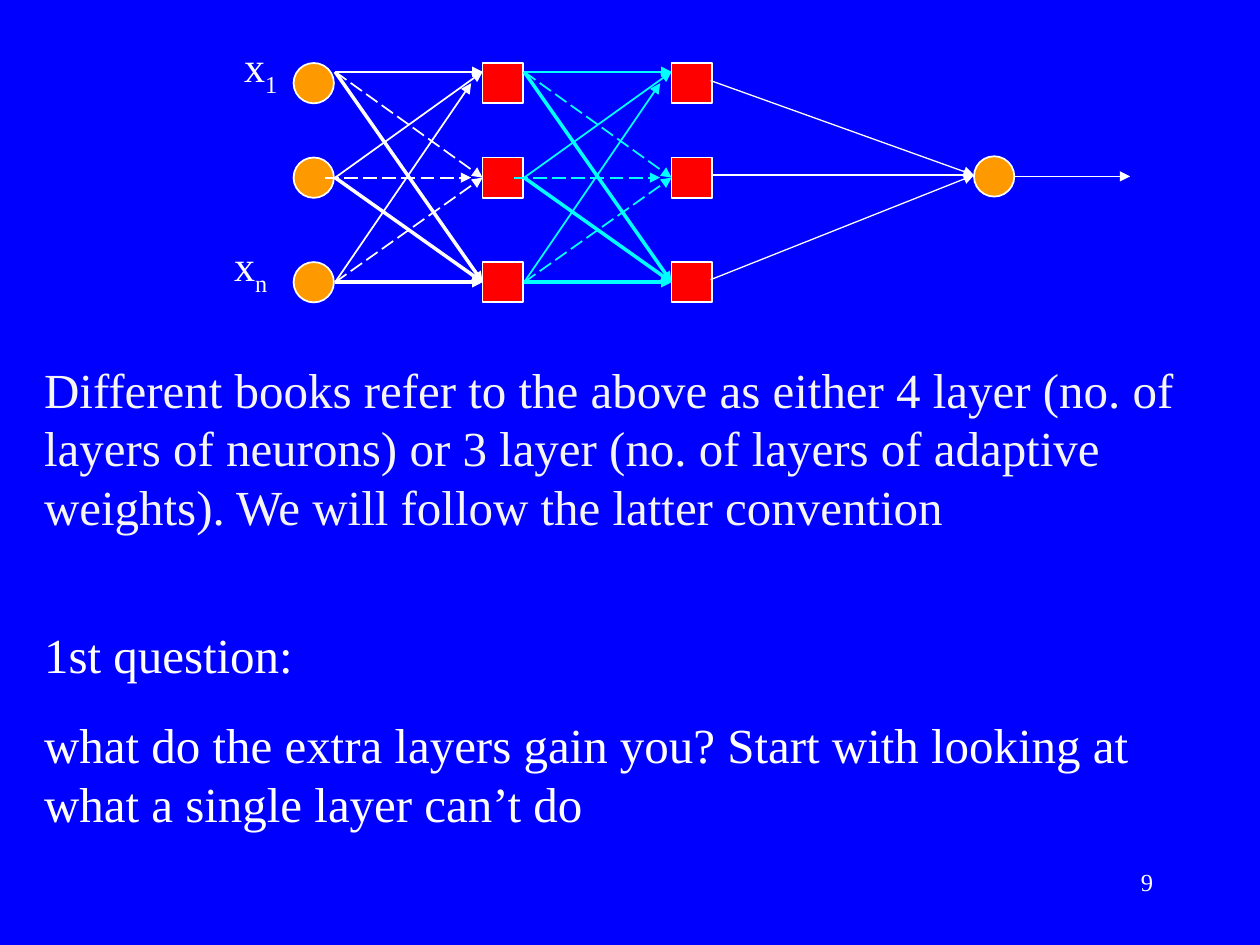
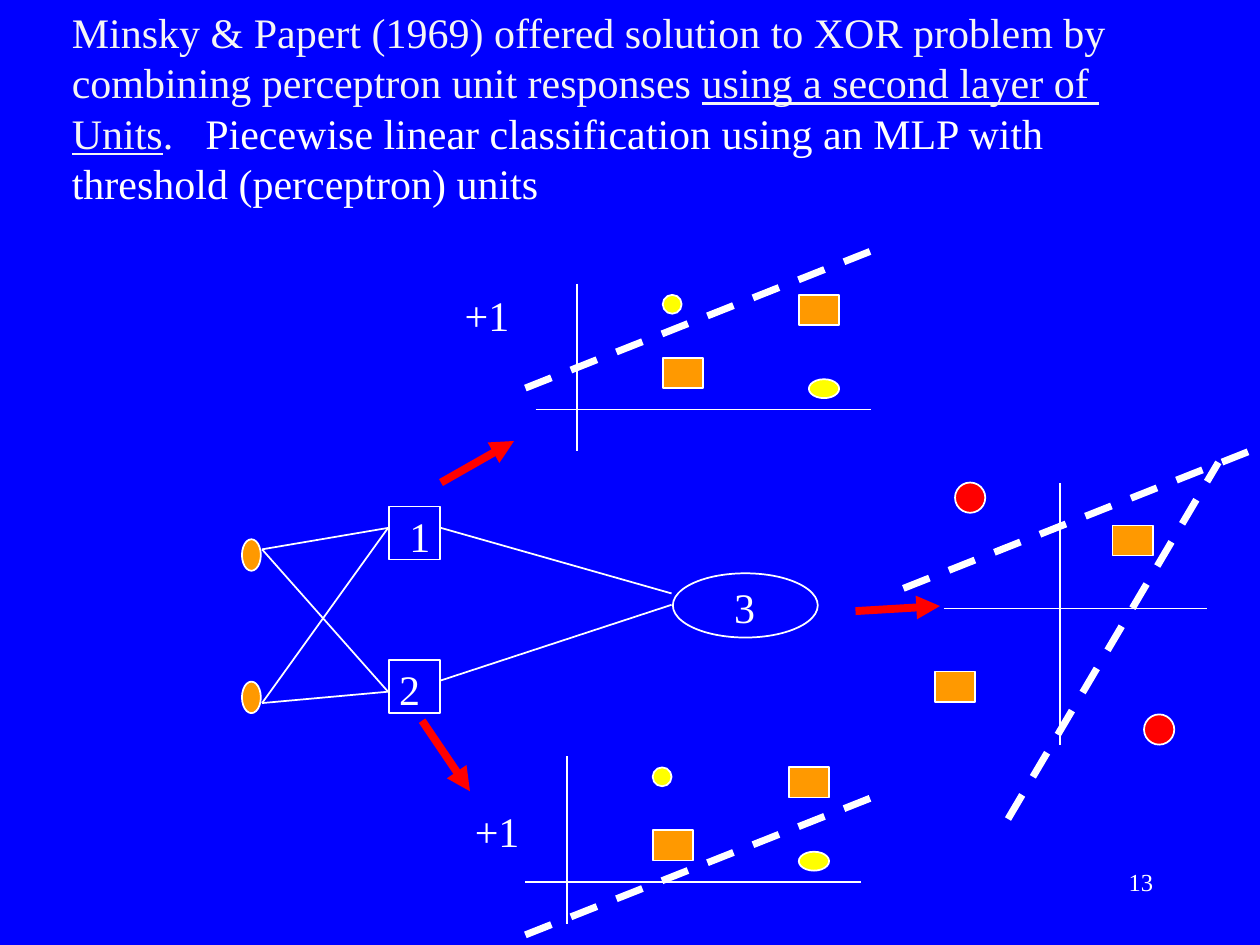
"""Build two slides on multilayer perceptrons and the XOR problem."""
from dataclasses import dataclass
from typing import Optional

from lxml import etree
from pptx import Presentation
from pptx.dml.color import RGBColor
from pptx.enum.dml import MSO_LINE
from pptx.enum.shapes import MSO_CONNECTOR, MSO_SHAPE
from pptx.enum.text import MSO_ANCHOR, MSO_AUTO_SIZE, PP_ALIGN
from pptx.oxml.ns import qn
from pptx.util import Inches, Pt

OVAL, RECT = MSO_SHAPE.OVAL, MSO_SHAPE.RECTANGLE
STRAIGHT = MSO_CONNECTOR.STRAIGHT
DASH, LONG_DASH = MSO_LINE.DASH, MSO_LINE.LONG_DASH
LEFT, CENTER, RIGHT = PP_ALIGN.LEFT, PP_ALIGN.CENTER, PP_ALIGN.RIGHT
TOP, NO_FIT = MSO_ANCHOR.TOP, MSO_AUTO_SIZE.NONE
CONTENT_LAYOUT, TITLE_LAYOUT = 1, 5


@dataclass(frozen=True)
class Theme:
    """Colours, font and type sizes in points."""
    background: str = "0000FF"
    white: str = "FFFFFF"
    soft_white: str = "F5F5F5"
    orange: str = "FF9900"
    red: str = "FF0000"
    yellow: str = "FFFF00"
    cyan: str = "00FFFF"
    font: str = "Times New Roman"
    body: float = 28
    label: float = 24
    page: float = 14
    leading: float = 1.2


@dataclass(frozen=True)
class Node:
    """An outlined oval or rectangle."""
    x: float
    y: float
    w: float
    h: float
    kind: MSO_SHAPE
    fill: Optional[str] = None


@dataclass(frozen=True)
class Link:
    """A straight line between two points."""
    x1: float
    y1: float
    x2: float
    y2: float
    color: str = "FFFFFF"
    width: float = 1
    dash: Optional[MSO_LINE] = None
    arrow: bool = False


@dataclass(frozen=True)
class Span:
    """A run of text with its own emphasis."""
    text: str
    color: Optional[str] = None
    underline: bool = False
    subscript: bool = False


THEME = Theme()


def rgb(value: str) -> RGBColor:
    """Turn a hex string into a colour."""
    return RGBColor.from_string(value)


def draw_node(slide, node: Node) -> None:
    """Draw one node."""
    sp = slide.shapes.add_shape(node.kind, Inches(node.x), Inches(node.y),
                                Inches(node.w), Inches(node.h))
    sp.shadow.inherit = False
    if node.fill:
        sp.fill.solid()
        sp.fill.fore_color.rgb = rgb(node.fill)
    else:
        sp.fill.background()
    sp.line.color.rgb = rgb(THEME.white)
    sp.line.width = Pt(1)


def draw_link(slide, link: Link) -> None:
    """Draw one line, with an arrowhead at its end if asked."""
    sp = slide.shapes.add_connector(STRAIGHT, Inches(link.x1), Inches(link.y1),
                                    Inches(link.x2), Inches(link.y2))
    sp.line.color.rgb = rgb(link.color)
    sp.line.width = Pt(link.width)
    if link.dash:
        sp.line.dash_style = link.dash
    props = sp._element.spPr
    if link.arrow:
        etree.SubElement(props.find(qn("a:ln")), qn("a:tailEnd"), type="triangle")
    etree.SubElement(props, qn("a:effectLst"))


def write(tf, paragraphs: list[list[Span]], size: float, align=LEFT,
          inset: float = 0.1) -> None:
    """Fill a text frame with formatted paragraphs."""
    tf.word_wrap = True
    tf.auto_size = NO_FIT
    tf.vertical_anchor = TOP
    tf.margin_left, tf.margin_right = Inches(0.1), Inches(inset)
    tf.margin_top = tf.margin_bottom = Inches(0.05)
    for i, spans in enumerate(paragraphs):
        p = tf.add_paragraph() if i else tf.paragraphs[0]
        p.alignment = align
        p.line_spacing = Pt(size * THEME.leading)
        p.space_before = Pt(0)
        p.font.name = THEME.font
        p.font.size = Pt(size)
        p.font.color.rgb = rgb(THEME.white)
        for span in spans:
            r = p.add_run()
            r.text = span.text
            if span.color:
                r.font.color.rgb = rgb(span.color)
            if span.underline:
                r.font.underline = True
            if span.subscript:
                r._r.get_or_add_rPr().set("baseline", "-25000")


def place(sp, x: float, y: float, w: float, h: float) -> None:
    """Move and size a shape."""
    sp.left, sp.top, sp.width, sp.height = map(Inches, (x, y, w, h))


def add_label(slide, x: float, y: float, w: float, h: float, spans: list[Span],
              size: float = THEME.label, align=LEFT, inset: float = 0) -> None:
    """Add a one-line text box."""
    sp = slide.shapes.add_textbox(Inches(x), Inches(y), Inches(w), Inches(h))
    write(sp.text_frame, [spans], size, align, inset)


def add_page_number(slide, number: int) -> None:
    """Add the page number at the lower right."""
    add_label(slide, 7.17, 6.83, 2.08, 0.5, [Span(str(number))], THEME.page, RIGHT, 0.1)


def layer_links(x: float, color: str) -> list[Link]:
    """Connect every unit of one layer to every unit of the next."""
    rows = (0.57, 1.41, 2.24)
    styles = ((1, None), (1, LONG_DASH), (2, None))
    nudges = {(1, 1): (-0.08, -0.09, 0), (2, 0): (0, -0.09, 0.09)}
    links = []
    for target, (width, dash) in enumerate(styles):
        for source, y in enumerate(rows):
            start, end, drop = nudges.get((source, target), (0, 0, 0))
            links.append(Link(x + start, y, x + 1.17 + end, rows[target] + drop,
                              color, width, dash, True))
    return links


def build_layers_slide(prs) -> None:
    """Build the slide on counting layers."""
    slide = prs.slides.add_slide(prs.slide_layouts[CONTENT_LAYOUT])
    title, body = slide.placeholders
    title._element.getparent().remove(title._element)
    place(body, 0.25, 2.8, 9.5, 3.85)
    write(body.text_frame, [
        [Span("Different books refer to the above as either 4 layer (no. of layers "
              "of neurons) or 3 layer (no. of layers of adaptive weights). "
              "We will follow the latter convention", THEME.soft_white)],
        [Span("1st question:")],
        [Span("what do the extra layers gain you? Start with looking at "
              "what a single layer can’t do")],
    ], THEME.body)
    for p, gap in zip(body.text_frame.paragraphs, (0, 51.1, 17.5)):
        p.space_before = Pt(gap)
        props = p._p.get_or_add_pPr()
        props.set("marL", "0")
        props.set("indent", "0")
        props.find(qn("a:defRPr")).addprevious(etree.Element(qn("a:buNone")))

    side = 0.32
    layers = ((2.33, OVAL, THEME.orange), (3.83, RECT, THEME.red), (5.33, RECT, THEME.red))
    for x, kind, fill in layers:
        for y in (0.5, 1.25, 2.08):
            draw_node(slide, Node(x, y, side, side, kind, fill))
    draw_node(slide, Node(7.73, 1.24, side, side, OVAL, THEME.orange))
    for x, y, index in ((1.84, 0.33, "1"), (1.76, 1.91, "n")):
        add_label(slide, x, y, 0.46, 0.55, [Span("x"), Span(index, subscript=True)])

    output = Link(8.05, 1.4, 8.97, 1.4, arrow=True)
    merging = [Link(5.64, y, 7.73, 1.39, width=0.75, arrow=True) for y in (0.64, 2.22, 1.39)]
    for link in [output, *layer_links(2.66, THEME.white),
                 *layer_links(4.16, THEME.cyan), *merging]:
        draw_link(slide, link)
    add_page_number(slide, 9)


def boundary(x: float, y: float) -> Link:
    """Return the rising decision line that starts at a point."""
    return Link(x, y, x + 2.75, y - 1.09, width=4, dash=DASH)


def draw_xor_plot(slide, x: float, y: float, line_y: float) -> None:
    """Draw XOR points and one decision line about a vertical axis."""
    draw_link(slide, Link(x, y, x, y + 1.33))
    draw_link(slide, Link(x - 0.33, y + 1, x + 2.33, y + 1))
    for dx, dy, w, h, kind, fill in (
            (0.68, 0.09, 0.15, 0.15, OVAL, THEME.yellow),
            (1.84, 0.76, 0.24, 0.15, OVAL, THEME.yellow),
            (0.68, 0.59, 0.32, 0.24, RECT, THEME.orange),
            (1.76, 0.09, 0.32, 0.24, RECT, THEME.orange)):
        draw_node(slide, Node(x + dx, y + dy, w, h, kind, fill))
    draw_link(slide, boundary(4.17, line_y))


def draw_combined_plot(slide) -> None:
    """Draw the plot that joins both decision lines."""
    for link in (boundary(7.17, 4.67), Link(7.49, 4.83, 9.58, 4.83),
                 Link(8.41, 5.91, 8.41, 3.83),
                 Link(8, 6.5, 9.67, 3.67, width=4, dash=DASH)):
        draw_link(slide, link)
    for x, y in ((9.08, 5.67), (7.58, 3.83)):
        draw_node(slide, Node(x, y, 0.24, 0.24, OVAL, THEME.red))
    for x, y in ((8.83, 4.17), (7.42, 5.33)):
        draw_node(slide, Node(x, y, 0.32, 0.24, RECT, THEME.orange))


def build_xor_slide(prs) -> None:
    """Build the slide on solving XOR with a second layer."""
    slide = prs.slides.add_slide(prs.slide_layouts[TITLE_LAYOUT])
    title = slide.shapes.title
    place(title, 0.47, 0, 8.49, 1.7)
    soft = THEME.soft_white
    write(title.text_frame, [
        [Span("Minsky & Papert (1969) offered solution to XOR problem by", soft)],
        [Span("combining perceptron unit responses ", soft),
         Span("using a second layer of ", soft, underline=True)],
        [Span("Units", soft, underline=True), Span(".\t", soft),
         Span("Piecewise linear classification using an MLP with")],
        [Span("threshold (perceptron) units")],
    ], THEME.label)
    tabs = etree.Element(qn("a:tabLst"))
    etree.SubElement(tabs, qn("a:tab"), pos=str(Inches(1.06)), algn="l")
    title.text_frame.paragraphs[2]._p.pPr.find(qn("a:defRPr")).addprevious(tabs)

    for y in (4.28, 5.41):
        draw_node(slide, Node(1.92, y, 0.15, 0.25, OVAL, THEME.orange))
    for text, x, y in (("1", 3.15, 4.02), ("2", 3.07, 5.24)):
        draw_node(slide, Node(3.09, y, 0.4, 0.42, RECT))
        add_label(slide, x, y - 0.02, 0.36, 0.5, [Span(text)])
    for end in (4.19, 5.49):
        for start in (4.36, 5.58):
            draw_link(slide, Link(2.08, start, 3.08, end))
    draw_node(slide, Node(5.34, 4.55, 1.15, 0.51, OVAL))
    for start, end in ((4.19, 4.71), (5.4, 4.8)):
        draw_link(slide, Link(3.5, start, 5.33, end))

    draw_xor_plot(slide, 4.58, 2.25, 3.08)
    draw_xor_plot(slide, 4.5, 6, 7.42)
    for x, y in ((3.67, 6.34), (3.59, 2.25)):
        add_label(slide, x, y, 0.66, 0.5, [Span("+1")])
    for ends in ((3.5, 3.83, 4.08, 3.5), (3.35, 5.72, 3.73, 6.28), (6.79, 4.85, 7.46, 4.81)):
        draw_link(slide, Link(*ends, THEME.red, 4.5, arrow=True))
    add_label(slide, 5.57, 4.57, 0.68, 0.5, [Span("3")], align=CENTER, inset=0.1)
    draw_combined_plot(slide)
    add_page_number(slide, 13)


def main() -> None:
    """Build and save the presentation."""
    prs = Presentation()
    prs.slide_width, prs.slide_height = Inches(10), Inches(7.5)
    fill = prs.slide_master.background.fill
    fill.solid()
    fill.fore_color.rgb = rgb(THEME.background)
    build_layers_slide(prs)
    build_xor_slide(prs)
    prs.save("out.pptx")


if __name__ == "__main__":
    main()
